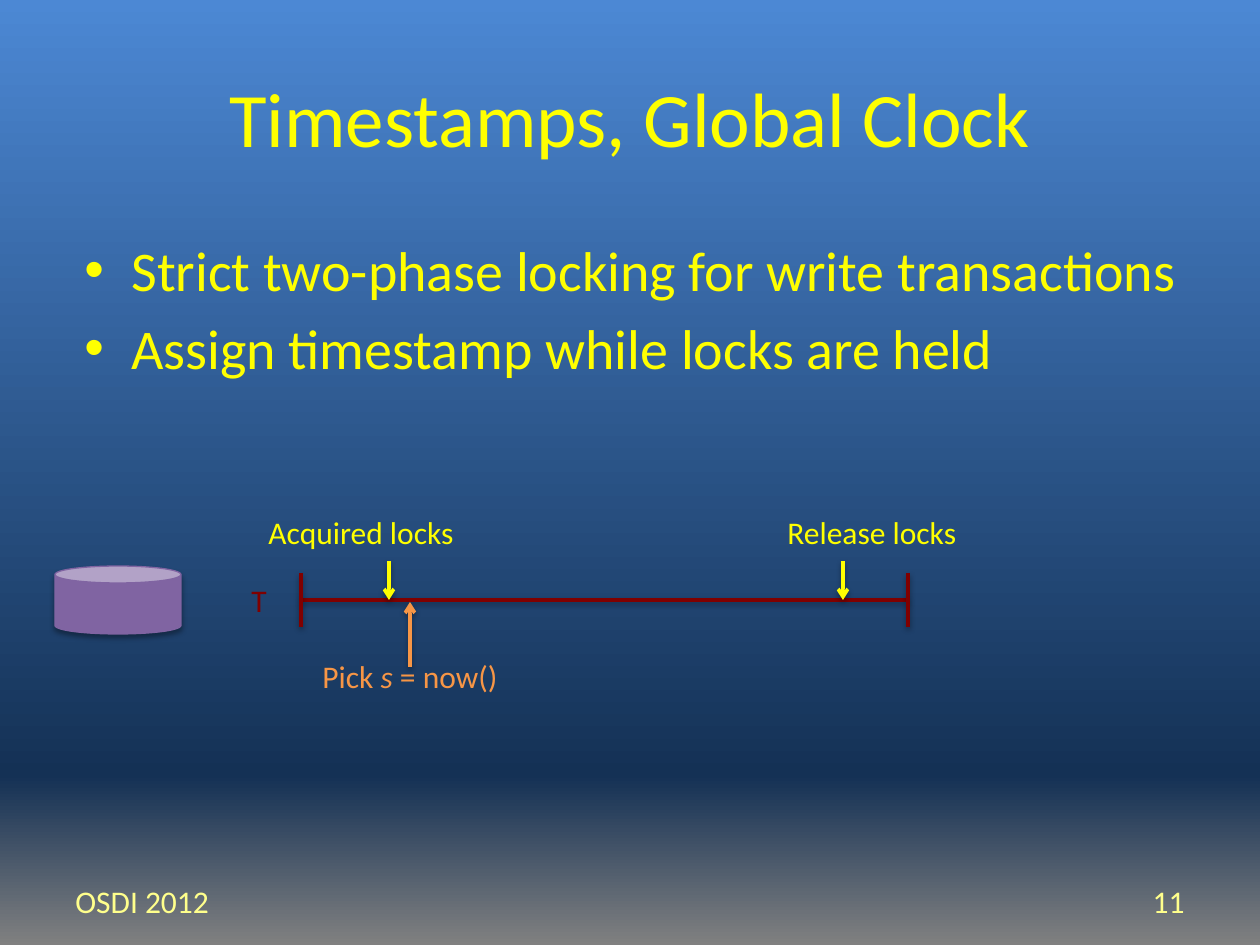
from dataclasses import dataclass
from typing import Any

import lxml.etree
import pptx
import pptx.dml.color
import pptx.enum.shapes
import pptx.enum.text
import pptx.oxml.ns
import pptx.util

EMU_PER_PIXEL = 914400 / 126
ALIGN = pptx.enum.text.PP_ALIGN
ANCHOR = pptx.enum.text.MSO_ANCHOR
AUTO_SIZE = pptx.enum.text.MSO_AUTO_SIZE
qn = pptx.oxml.ns.qn


@dataclass(frozen=True)
class Theme:
    font: str = "Calibri"
    title_size: int = 44
    body_size: int = 32
    label_size: int = 18
    line_width: float = 2
    outline_width: float = 0.75
    main: str = "FFFF00"
    transaction: str = "800000"
    pick: str = "F79646"
    footer: str = "FFFF8C"
    database: str = "8064A2"
    shadow: str = "000000"
    background: tuple = ((0, "808080"), (18, "143155"), (100, "4C88D4"))


@dataclass(frozen=True)
class Span:
    text: str
    italic: bool = False


@dataclass(frozen=True)
class Label:
    spans: tuple[Span, ...]
    area: tuple[int, int, int, int]
    color: str
    align: Any = ALIGN.LEFT
    anchor: Any = ANCHOR.TOP
    wrap: bool = False


@dataclass(frozen=True)
class Stroke:
    start: tuple[int, int]
    end: tuple[int, int]
    color: str
    arrow: bool = False


THEME = Theme()
AXIS_Y, AXIS_LEFT, AXIS_RIGHT = 600, 301, 908
TICK_HALF = 27
LABEL_HEIGHT = 50


def px(value: float) -> int:
    return round(value * EMU_PER_PIXEL)


def color_of(value: str) -> pptx.dml.color.RGBColor:
    return pptx.dml.color.RGBColor.from_string(value)


def apply(target: Any, values: dict[str, Any]) -> None:
    for name, value in values.items():
        setattr(target, name, value)


def add_child(parent: Any, tag: str, **attributes: Any) -> Any:
    child = lxml.etree.SubElement(parent, qn(tag))
    for name, value in attributes.items():
        child.set(name, str(value))
    return child


def place(box: Any, area: tuple[int, int, int, int]) -> None:
    apply(box, dict(zip(("left", "top", "width", "height"), map(px, area))))


def write(para: Any, spans: tuple[Span, ...], size: int, color: str) -> None:
    for item in spans:
        span = para.add_run()
        span.text = item.text
        apply(span.font, {"name": THEME.font, "size": pptx.util.Pt(size), "italic": item.italic})
        span.font.color.rgb = color_of(color)


def add_shadow(shape: Any, distance: float, opacity: int) -> None:
    effects = add_child(shape._element.spPr, "a:effectLst")
    shadow = add_child(effects, "a:outerShdw", blurRad=pptx.util.Pt(3.1),
                       dist=pptx.util.Pt(distance), dir=90 * 60000, rotWithShape=0)
    color = add_child(shadow, "a:srgbClr", val=THEME.shadow)
    add_child(color, "a:alpha", val=opacity * 1000)


def paint_background(page: Any) -> None:
    fill = page.background.fill
    fill.gradient()
    fill.gradient_angle = 90
    stops = next(page._element.iter(qn("a:gsLst")))
    for stop in list(stops):
        stops.remove(stop)
    for position, color in THEME.background:
        stop = add_child(stops, "a:gs", pos=position * 1000)
        add_child(stop, "a:srgbClr", val=color)


def add_title(page: Any, text: str) -> None:
    box = page.shapes.title
    place(box, (63, 38, 1134, 157))
    apply(box.text_frame, {"word_wrap": True, "vertical_anchor": ANCHOR.MIDDLE})
    para = box.text_frame.paragraphs[0]
    para.alignment = ALIGN.CENTER
    write(para, (Span(text),), THEME.title_size, THEME.main)


def add_bullets(page: Any, lines: tuple[str, ...]) -> None:
    box = page.shapes.add_textbox(*map(px, (72, 229, 1134, 181)))
    frame = box.text_frame
    frame.word_wrap = True
    for index, line in enumerate(lines):
        para = frame.add_paragraph() if index else frame.paragraphs[0]
        para.space_before = pptx.util.Pt(0.2 * THEME.body_size)
        properties = para._p.get_or_add_pPr()
        properties.set("marL", str(px(47)))
        properties.set("indent", str(-px(47)))
        add_child(properties, "a:buFont", typeface="Arial")
        add_child(properties, "a:buChar", char="•")
        write(para, (Span(line),), THEME.body_size, THEME.main)


def add_label(page: Any, label: Label) -> None:
    box = page.shapes.add_textbox(*map(px, label.area))
    apply(box.text_frame, {
        "word_wrap": label.wrap,
        "vertical_anchor": label.anchor,
        "auto_size": AUTO_SIZE.NONE if label.wrap else AUTO_SIZE.SHAPE_TO_FIT_TEXT,
    })
    para = box.text_frame.paragraphs[0]
    para.alignment = label.align
    write(para, label.spans, THEME.label_size, label.color)


def add_stroke(shapes: Any, stroke: Stroke) -> None:
    line = shapes.add_connector(pptx.enum.shapes.MSO_CONNECTOR.STRAIGHT,
                                *map(px, stroke.start + stroke.end))
    line.line.width = pptx.util.Pt(THEME.line_width)
    line.line.color.rgb = color_of(stroke.color)
    if stroke.arrow:
        add_child(line.line._get_or_add_ln(), "a:tailEnd", type="arrow")
    add_shadow(line, 1.6, 38)


def add_database(page: Any) -> None:
    can = page.shapes.add_shape(pptx.enum.shapes.MSO_SHAPE.CAN, *map(px, (55, 566, 126, 68)))
    can.fill.solid()
    can.fill.fore_color.rgb = color_of(THEME.database)
    can.line.color.rgb = color_of(THEME.database)
    can.line.width = pptx.util.Pt(THEME.outline_width)
    add_shadow(can, 1.8, 35)


TIMELINE = (
    Stroke((AXIS_LEFT, AXIS_Y), (AXIS_RIGHT, AXIS_Y), THEME.transaction),
    *(Stroke((x, AXIS_Y - TICK_HALF), (x, AXIS_Y + TICK_HALF), THEME.transaction)
      for x in (AXIS_LEFT, AXIS_RIGHT)),
)
ARROWS = (
    Stroke((410, 667), (410, 602), THEME.pick, True),
    *(Stroke((x, 561), (x, AXIS_Y), THEME.main, True) for x in (389, 843)),
)
LABELS = (
    Label((Span("T"),), (239, 575, 57, LABEL_HEIGHT), THEME.transaction, wrap=True),
    Label((Span("Pick "), Span("s", True), Span(" = now()")),
          (310, 651, 203, LABEL_HEIGHT), THEME.pick),
    Label((Span("Acquired locks"),), (256, 507, 213, LABEL_HEIGHT), THEME.main),
    Label((Span("Release locks"),), (775, 507, 197, LABEL_HEIGHT), THEME.main),
    Label((Span("OSDI 2012"),), (63, 876, 294, LABEL_HEIGHT), THEME.footer,
          anchor=ANCHOR.MIDDLE, wrap=True),
    Label((Span("11"),), (903, 876, 294, LABEL_HEIGHT), THEME.footer,
          ALIGN.RIGHT, ANCHOR.MIDDLE, True),
)


def main() -> None:
    deck = pptx.Presentation()
    apply(deck, {"slide_width": px(1260), "slide_height": px(945)})
    page = deck.slides.add_slide(deck.slide_layouts[5])
    paint_background(page)
    add_title(page, "Timestamps, Global Clock")
    add_bullets(page, ("Strict two-phase locking for write transactions",
                       "Assign timestamp while locks are held"))
    timeline = page.shapes.add_group_shape()
    for shapes, strokes in ((timeline.shapes, TIMELINE), (page.shapes, ARROWS)):
        for stroke in strokes:
            add_stroke(shapes, stroke)
    for label in LABELS:
        add_label(page, label)
    add_database(page)
    deck.save("out.pptx")


main()
